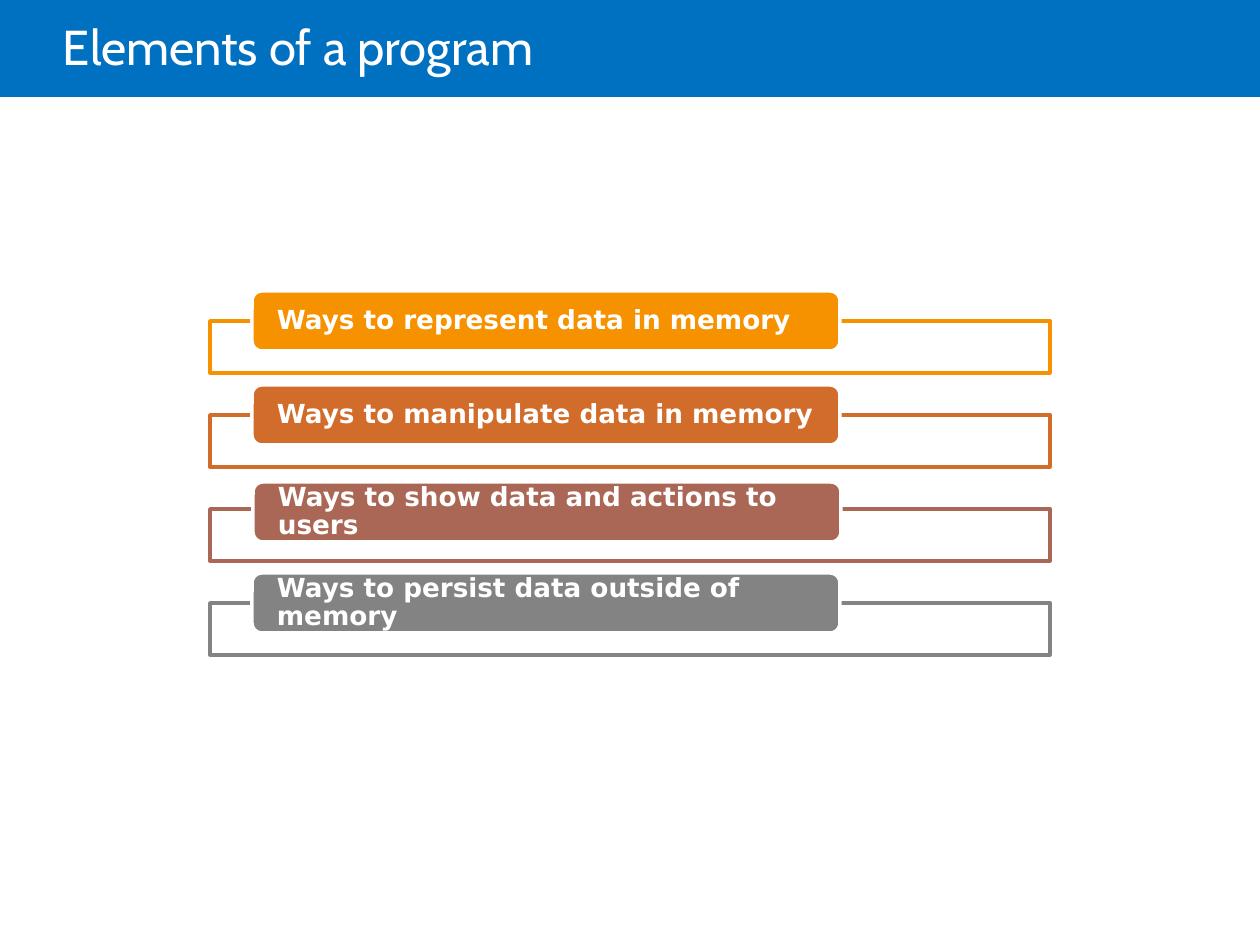
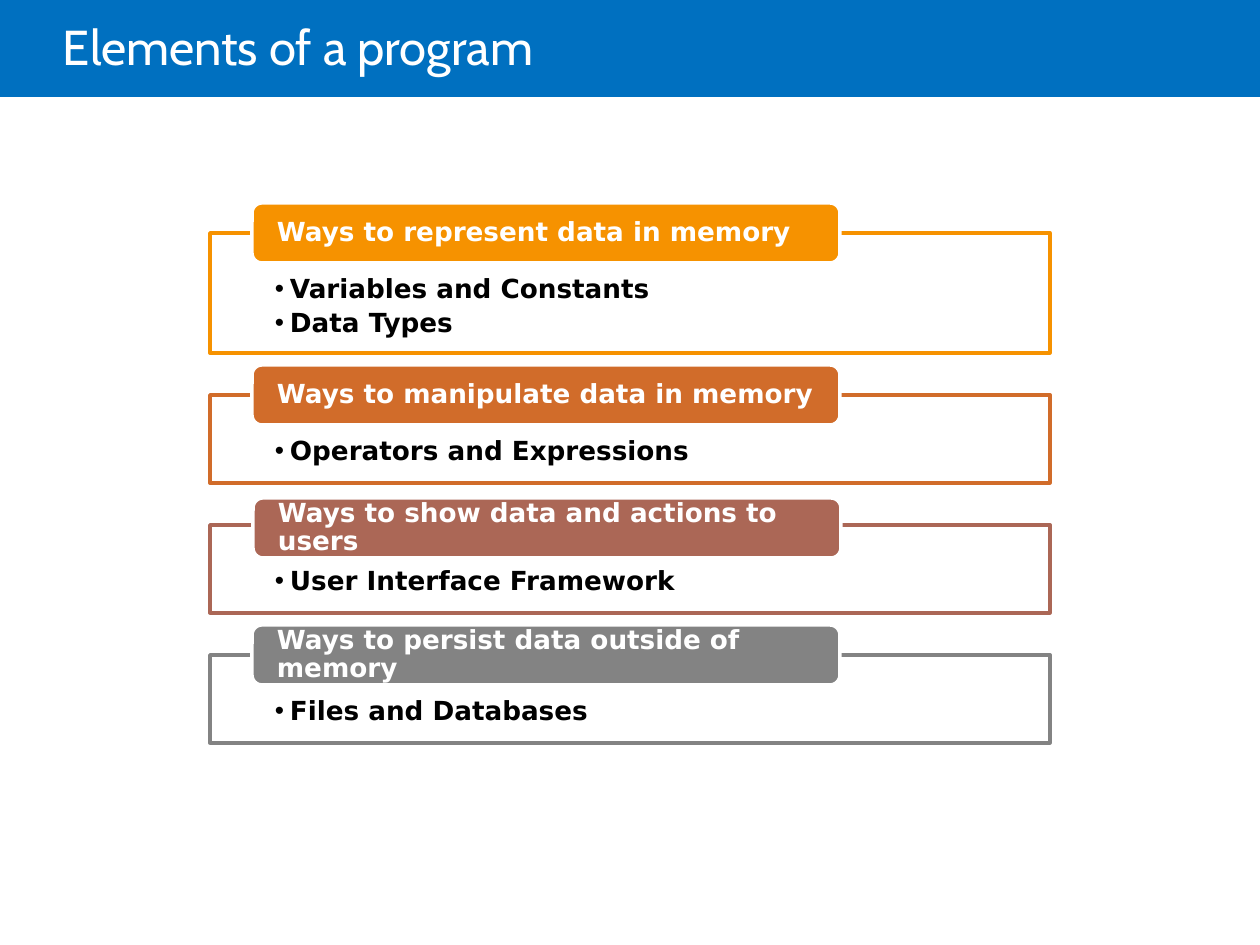
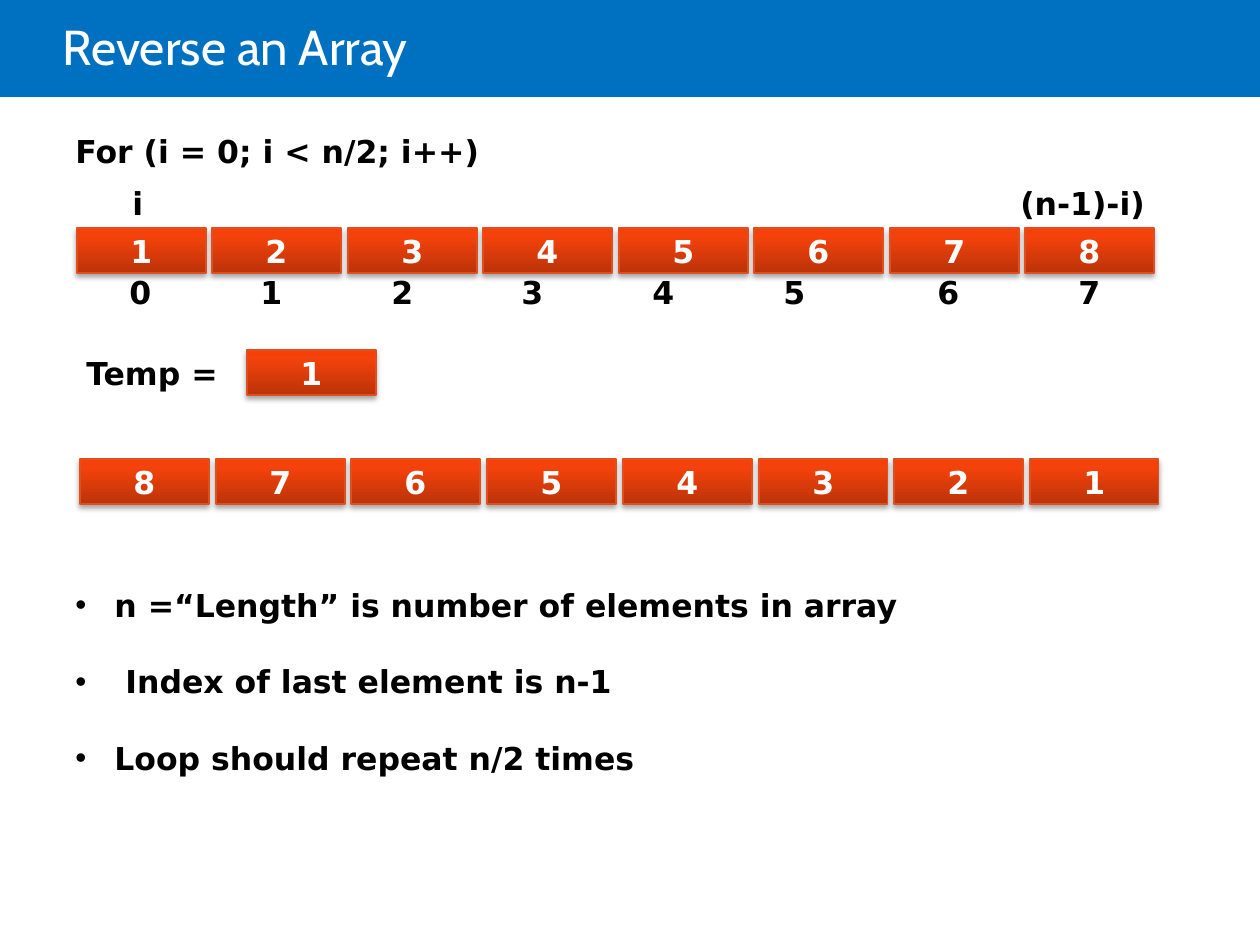
"""Build three slides on program elements and reversing an array."""
from dataclasses import dataclass
from typing import Optional

from lxml import etree
from pptx import Presentation, util as u
from pptx.dml.color import RGBColor
from pptx.enum import shapes, text
from pptx.oxml import parse_xml
from pptx.oxml.ns import nsdecls, qn

PX = 914400 / 126
WHITE = RGBColor(0xFF, 0xFF, 0xFF)
BLACK = RGBColor(0x00, 0x00, 0x00)
BLUE = RGBColor(0x00, 0x70, 0xC0)
ORANGE = RGBColor(0xF6, 0x92, 0x00)
RUST = RGBColor(0xD1, 0x6C, 0x2A)
CLAY = RGBColor(0xAB, 0x67, 0x56)
GRAY = RGBColor(0x83, 0x83, 0x83)
CELL_EDGE = RGBColor(0xDF, 0x4F, 0x22)
CELL_STOPS = (
    (0, RGBColor(0xBB, 0x33, 0x09)),
    (80, RGBColor(0xF3, 0x42, 0x0B)),
    (100, RGBColor(0xF8, 0x40, 0x07)),
)
TITLE_FONT, BODY_FONT = "Cabin", "DejaVu Sans"
PANEL_GAP = 42
CELL_W, CELL_H = 129, 45


@dataclass(frozen=True)
class Box:
    """A rectangle in px."""
    left: int
    top: int
    width: int
    height: int

    def emu(self) -> tuple:
        return tuple(px(n) for n in (self.left, self.top, self.width, self.height))


@dataclass(frozen=True)
class Section:
    """A way of handling data, with its topics and the shift of its tab."""
    heading: str
    topics: tuple
    color: RGBColor
    dx: int = 0
    dy: int = 0


@dataclass(frozen=True)
class Label:
    """A single line of bold text in its box."""
    words: str
    box: Box


@dataclass(frozen=True)
class Row:
    """A row of array cells spread between two left edges."""
    values: str
    first: int
    last: int
    top: int


SECTIONS = (
    Section("Ways to represent data in memory", ("Variables and Constants", "Data Types"), ORANGE),
    Section("Ways to manipulate data in memory", ("Operators and Expressions",), RUST),
    Section("Ways to show data and actions to users", ("User Interface Framework",), CLAY, 1, 3),
    Section("Ways to persist data outside of memory", ("Files and Databases",), GRAY),
)
LABELS = (
    Label("Temp =", Box(74, 348, 163, 50)),
    Label("For (i = 0; i < n/2; i++)", Box(63, 126, 452, 50)),
    Label("(n-1)-i)", Box(1008, 178, 164, 50)),
    Label("i", Box(120, 178, 37, 50)),
)
ROWS = (Row("12345678", 77, 1025, 228), Row("87654321", 80, 1030, 459))
NOTES = (
    ("n =“Length” is number of elements in array", 39),
    ("Index of last element is n-1", 50),
    ("Loop should repeat n/2 times", 39),
)


def px(n: int) -> u.Emu:
    return u.Emu(round(n * PX))


def spread(first: int, last: int, count: int) -> list:
    return [round(first + (last - first) * i / (count - 1)) for i in range(count)]


def add_run(p, words: str, size: int, color: RGBColor, font: str = BODY_FONT, bold: bool = True) -> None:
    r = p.add_run()
    r.text = words
    r.font.name, r.font.size, r.font.bold = font, u.Pt(size), bold
    r.font.color.rgb = color


def add_bullet(p, indent: int) -> None:
    pPr = p._p.get_or_add_pPr()
    pPr.set("marL", str(px(indent)))
    pPr.set("indent", str(-px(indent)))
    etree.SubElement(pPr, qn("a:buFont")).set("typeface", "Arial")
    etree.SubElement(pPr, qn("a:buChar")).set("char", "•")


def set_frame(tf, insets: tuple, anchor=text.MSO_ANCHOR.MIDDLE) -> None:
    tf.word_wrap = True
    tf.vertical_anchor = anchor
    tf.margin_left, tf.margin_top, tf.margin_right, tf.margin_bottom = map(px, insets)


def next_paragraph(tf, index: int):
    p = tf.paragraphs[0] if index == 0 else tf.add_paragraph()
    p.alignment = text.PP_ALIGN.LEFT
    return p


def add_block(s, kind, box: Box, fill: RGBColor, line: Optional[RGBColor] = None):
    sp = s.shapes.add_shape(kind, *box.emu())
    sp.shadow.inherit = False
    sp.fill.solid()
    sp.fill.fore_color.rgb = fill
    if line is None:
        sp.line.fill.background()
    else:
        sp.line.color.rgb = line
        sp.line.width = u.Pt(2)
    return sp


def add_titled_slide(prs, title: str):
    s = prs.slides.add_slide(prs.slide_layouts[6])
    add_block(s, shapes.MSO_SHAPE.RECTANGLE, Box(0, 0, 1260, 97), BLUE)
    tf = s.shapes.add_textbox(*Box(63, 0, 1071, 102).emu()).text_frame
    set_frame(tf, (0, 6, 13, 6))
    p = next_paragraph(tf, 0)
    p.line_spacing = 0.85
    add_run(p, title, 28, WHITE, TITLE_FONT, False)
    return s


def add_section(s, section: Section, top: int, height: int, topics: tuple) -> None:
    panel = add_block(s, shapes.MSO_SHAPE.RECTANGLE, Box(210, top, 840, height), WHITE, section.color)
    fill = panel._element.spPr.find(qn("a:solidFill"))
    etree.SubElement(fill[0], qn("a:alpha")).set("val", "90000")
    if topics:
        set_frame(panel.text_frame, (65, 43, 65, 15), text.MSO_ANCHOR.TOP)
    for i, topic in enumerate(topics):
        p = next_paragraph(panel.text_frame, i)
        p.line_spacing, p.space_after = 0.9, u.Pt(3)
        add_bullet(p, 15)
        add_run(p, topic, 15, BLACK)
    box = Box(252 + section.dx, top - 30 + section.dy, 588, 60)
    tab = add_block(s, shapes.MSO_SHAPE.ROUNDED_RECTANGLE, box, section.color, WHITE)
    set_frame(tab.text_frame, (22, 0, 22, 0))
    p = next_paragraph(tab.text_frame, 0)
    p.line_spacing = 0.9
    add_run(p, section.heading, 15, WHITE)


def add_elements_slide(prs, top: int, detailed: bool) -> None:
    s = add_titled_slide(prs, "Elements of a program")
    for section in SECTIONS:
        topics = section.topics if detailed else ()
        height = 56 + 32 * len(topics) if topics else 52
        add_section(s, section, top, height, topics)
        top += height + PANEL_GAP


def add_cell(s, value: str, left: int, top: int) -> None:
    sp = s.shapes.add_shape(shapes.MSO_SHAPE.RECTANGLE, *Box(left, top, CELL_W, CELL_H).emu())
    sp.line.color.rgb, sp.line.width = CELL_EDGE, u.Pt(0.75)
    stops = "".join(
        f'<a:gs pos="{pos * 1000}"><a:srgbClr val="{color}"/></a:gs>' for pos, color in CELL_STOPS)
    sp._element.spPr.insert(2, parse_xml(
        f'<a:gradFill {nsdecls("a")} rotWithShape="1"><a:gsLst>{stops}</a:gsLst>'
        '<a:lin ang="16200000" scaled="0"/></a:gradFill>'))
    sp.shadow.inherit = False
    sp._element.spPr.find(qn("a:effectLst")).append(parse_xml(
        f'<a:outerShdw {nsdecls("a")} blurRad="39000" dist="23000" dir="5400000" rotWithShape="0">'
        '<a:srgbClr val="000000"><a:alpha val="35000"/></a:srgbClr></a:outerShdw>'))
    set_frame(sp.text_frame, (25, 6, 25, 6))
    p = sp.text_frame.paragraphs[0]
    p.alignment = text.PP_ALIGN.CENTER
    add_run(p, value, 18, WHITE)


def add_open_box(s, box: Box):
    tf = s.shapes.add_textbox(*box.emu()).text_frame
    tf.word_wrap = False
    tf.auto_size = text.MSO_AUTO_SIZE.SHAPE_TO_FIT_TEXT
    return tf


def add_label(s, label: Label) -> None:
    tf = add_open_box(s, label.box)
    add_run(next_paragraph(tf, 0), label.words, 18, BLACK)


def add_array_slide(prs) -> None:
    s = add_titled_slide(prs, "Reverse an Array")
    for row in ROWS:
        for value, left in zip(row.values, spread(row.first, row.last, len(row.values))):
            add_cell(s, value, left, row.top)
    add_cell(s, "1", 247, 350)
    for index, left in enumerate(spread(117, 771, 6) + [925, 1066]):
        add_label(s, Label(str(index), Box(left, 267, 48, 50)))
    for label in LABELS:
        add_label(s, label)
    tf = add_open_box(s, Box(63, 580, 849, 204))
    for i, (words, indent) in enumerate(NOTES):
        p = next_paragraph(tf, i)
        if i:
            p.space_before = u.Pt(22)
        add_bullet(p, indent)
        add_run(p, words, 18, BLACK)


def main() -> None:
    prs = Presentation()
    prs.slide_width, prs.slide_height = px(1260), px(945)
    add_elements_slide(prs, 321, False)
    add_elements_slide(prs, 233, True)
    add_array_slide(prs)
    prs.save("out.pptx")


if __name__ == "__main__":
    main()
